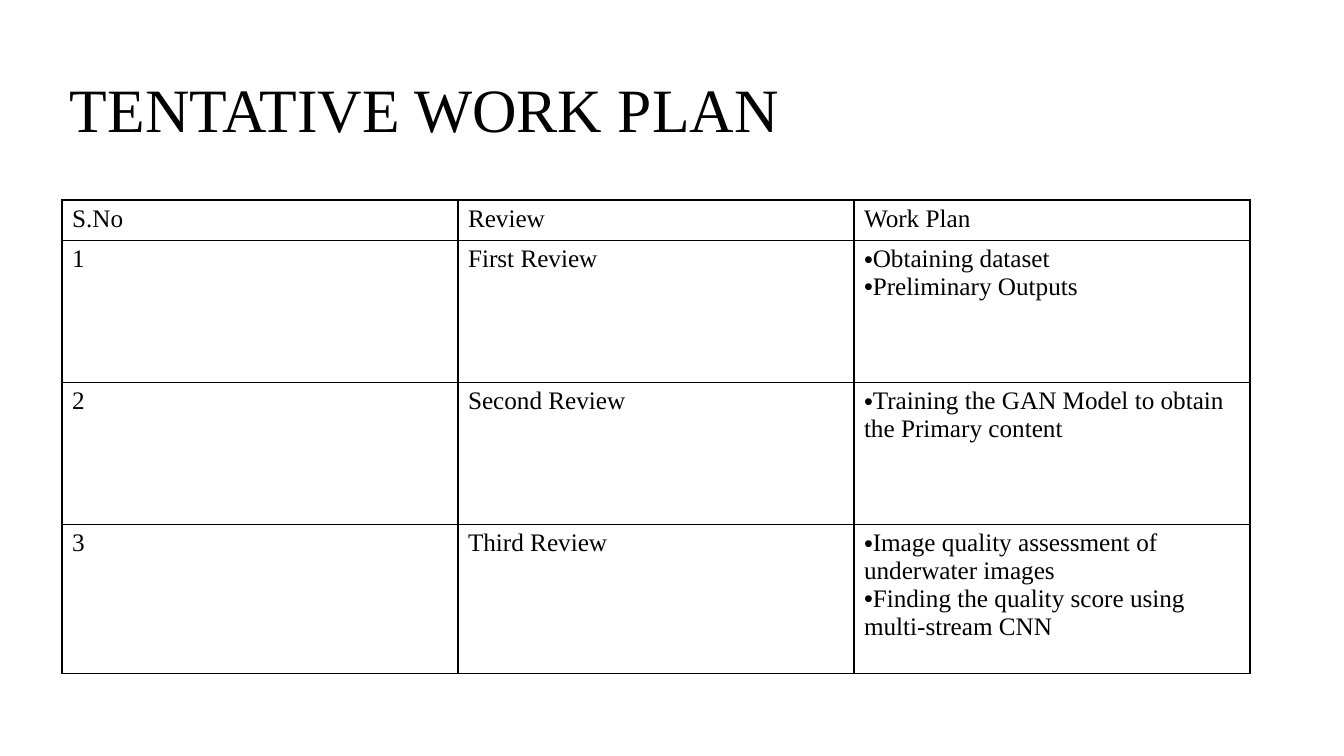
from lxml.etree import SubElement as Sub
from pptx import Presentation
from pptx.dml.color import RGBColor as Rgb
from pptx.enum.text import MSO_ANCHOR as Anchor
from pptx.oxml.ns import qn
from pptx.util import Pt

# Content
TITLE = "TENTATIVE WORK PLAN"
HEAD = ("S.No", "Review", "Work Plan")
PLAN = [
    ("First Review", ["Obtaining dataset", "Preliminary Outputs"]),
    ("Second Review", ["Training the GAN Model to obtain the Primary content"]),
    ("Third Review", ["Image quality assessment of underwater images",
                      "Finding the quality score using multi-stream CNN"]),
]

# Format
COLORS = {"ink": "000000", "page": "FFFFFF"}
FONT = "Times New Roman"
SIZES = {"title": 44, "cell": 18}
LINE = 1  # pt

# Layout in px
SCALE = 914400 / 100.8
PAGE = (1344, 756)
TITLE_BOX = (60, 40, 1160, 146)
LEFT, TOP, COL = 62, 200, 396
ROWS = (38, 142, 142, 149)


def px(*vals):
    return [round(v * SCALE) for v in vals]


def write(par, text, size):
    run = par.add_run()
    run.text = text
    for key, val in {"name": FONT, "size": Pt(size)}.items():
        setattr(run.font, key, val)
    run.font.color.rgb = Rgb.from_string(COLORS["ink"])


def bullet(par):
    props = par._p.get_or_add_pPr()
    for key in ("marL", "indent"):
        props.set(key, "0")
    color = Sub(props, qn("a:buClr"))
    Sub(color, qn("a:srgbClr"), val=COLORS["ink"])
    Sub(props, qn("a:buFont"), typeface="Arial")
    Sub(props, qn("a:buChar"), char="•")


def border(cell):
    props = cell._tc.get_or_add_tcPr()
    for side in ("lnL", "lnR", "lnT", "lnB"):
        line = Sub(props, qn("a:" + side), w=str(Pt(LINE)))
        fill = Sub(line, qn("a:solidFill"))
        Sub(fill, qn("a:srgbClr"), val=COLORS["ink"])


def fill_cell(cell, item):
    border(cell)
    cell.fill.background()
    frame = cell.text_frame
    listed = isinstance(item, list)
    for i, text in enumerate(item if listed else [item]):
        par = frame.add_paragraph() if i else frame.paragraphs[0]
        if listed:
            bullet(par)
        write(par, text, SIZES["cell"])


# Slide
deck = Presentation()
deck.slide_width, deck.slide_height = px(*PAGE)
slide = deck.slides.add_slide(deck.slide_layouts[6])
back = slide.background.fill
back.solid()
back.fore_color.rgb = Rgb.from_string(COLORS["page"])

# Title
frame = slide.shapes.add_textbox(*px(*TITLE_BOX)).text_frame
for key, val in {"word_wrap": True, "vertical_anchor": Anchor.MIDDLE}.items():
    setattr(frame, key, val)
frame.paragraphs[0].line_spacing = 0.9
write(frame.paragraphs[0], TITLE, SIZES["title"])

# Table
cells = [HEAD] + [(str(n), *row) for n, row in enumerate(PLAN, 1)]
area = px(LEFT, TOP, COL * len(HEAD), sum(ROWS))
table = slide.shapes.add_table(len(cells), len(HEAD), *area).table
for key in ("first_row", "horz_banding"):
    setattr(table, key, False)
for col, wide in zip(table.columns, px(*[COL] * len(HEAD))):
    col.width = wide
for row, high, items in zip(table.rows, px(*ROWS), cells):
    row.height = high
    for cell, item in zip(row.cells, items):
        fill_cell(cell, item)

deck.save("out.pptx")
